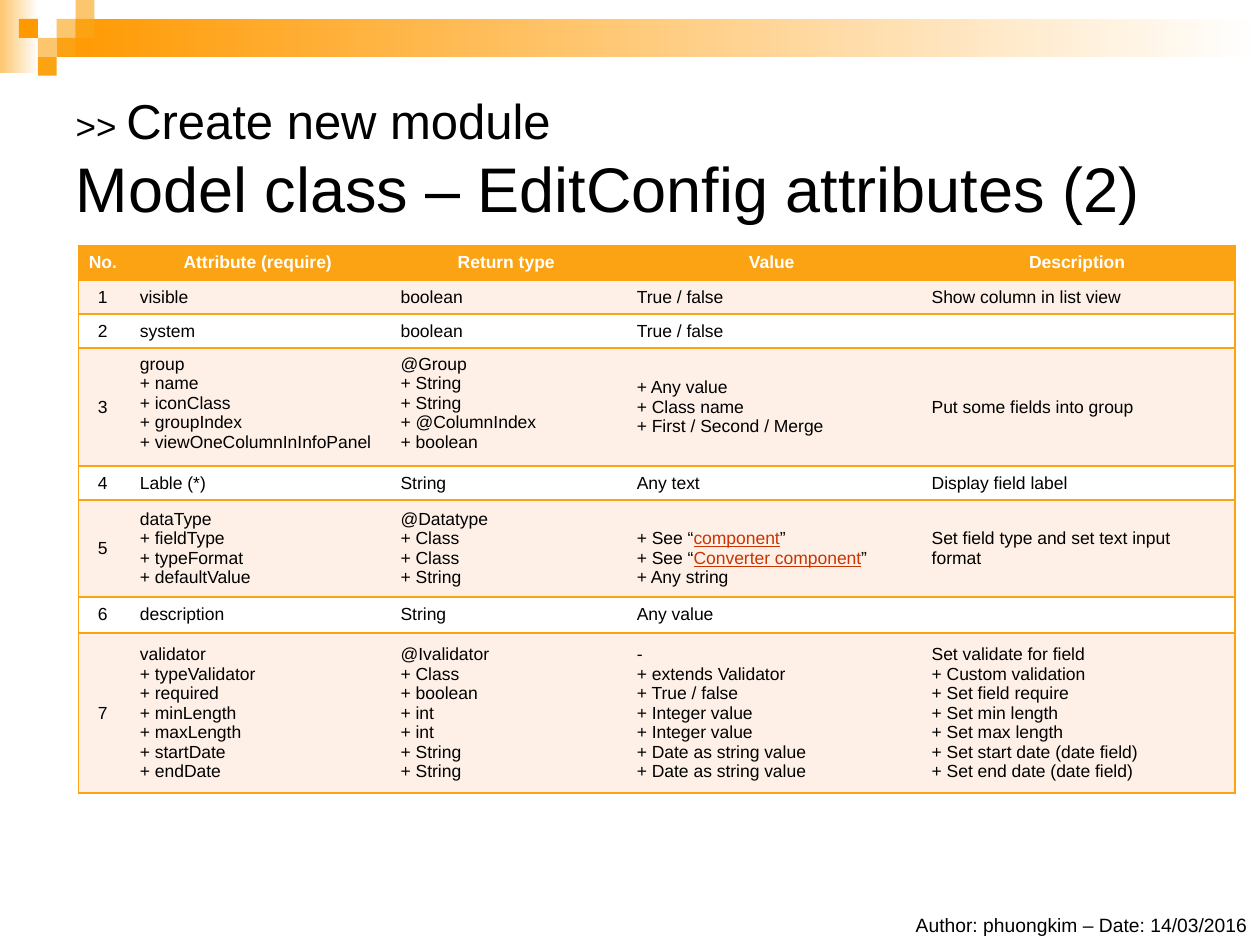
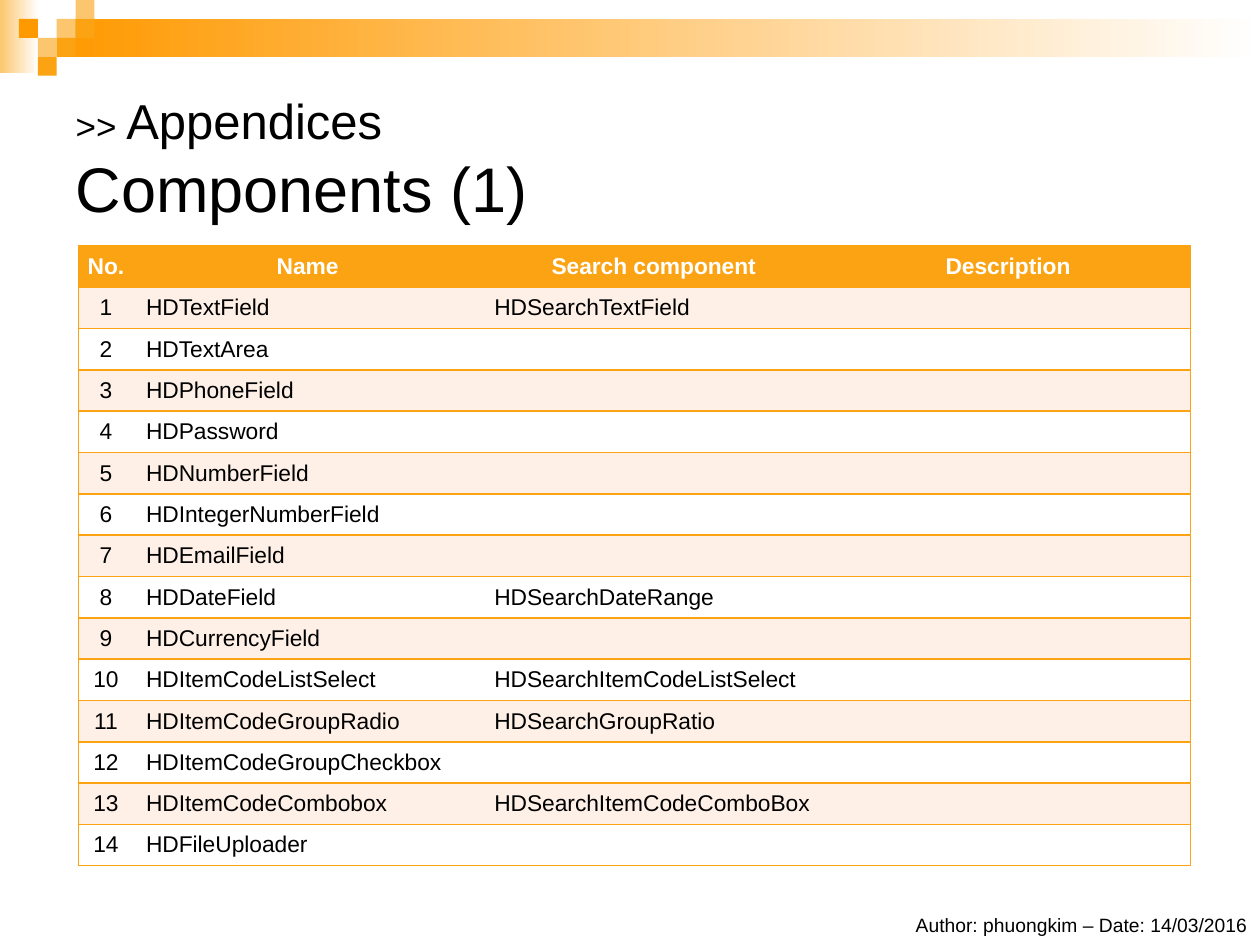
from dataclasses import dataclass

from lxml.etree import SubElement
from pptx import Presentation
from pptx.dml.color import RGBColor
from pptx.enum.shapes import MSO_SHAPE
from pptx.enum.text import MSO_ANCHOR, MSO_AUTO_SIZE, PP_ALIGN
from pptx.oxml.ns import qn
from pptx.util import Pt


@dataclass(frozen=True)
class Theme:
    font: str = "Arial"
    orange: str = "FBA313"
    vivid: str = "FF9900"
    pale: str = "FCC66E"
    stripe: str = "FEF0E7"
    white: str = "FFFFFF"
    ink: str = "000000"
    link: str = "CC3300"
    marker_size: float = 20
    section_size: float = 28
    heading_size: float = 36
    footer_size: float = 11


THEME = Theme()
FOOTER = "Author: phuongkim – Date: 14/03/2016"
TABLE_LEFT, TABLE_TOP = 44.75, 140.5
SQUARE = 10.8
NO_GRID_STYLE = "{2D5ABB26-0587-4C30-8999-92F81FD0307C}"

# Cell text: a newline starts a paragraph, ~ encloses link-styled words
ATTRIBUTES = [
    ["No.", "Attribute (require)", "Return type", "Value", "Description"],
    ["1", "visible", "boolean", "True / false", "Show column in list view"],
    ["2", "system", "boolean", "True / false", ""],
    ["3",
     "group\n+ name\n+ iconClass\n+ groupIndex\n+ viewOneColumnInInfoPanel",
     "@Group\n+ String\n+ String\n+ @ColumnIndex\n+ boolean",
     "+ Any value\n+ Class name\n+ First / Second / Merge",
     "Put some fields into group"],
    ["4", "Lable (*)", "String", "Any text", "Display field label"],
    ["5",
     "dataType\n+ fieldType\n+ typeFormat\n+ defaultValue",
     "@Datatype\n+ Class\n+ Class\n+ String",
     "+ See “~component~”\n+ See “~Converter component~”\n+ Any string",
     "Set field type and set text input format"],
    ["6", "description", "String", "Any value", ""],
    ["7",
     "validator\n+ typeValidator\n+ required\n+ minLength\n+ maxLength\n"
     "+ startDate\n+ endDate",
     "@Ivalidator\n+ Class\n+ boolean\n+ int\n+ int\n+ String\n+ String",
     "-\n+ extends Validator\n+ True / false\n+ Integer value\n"
     "+ Integer value\n+ Date as string value\n+ Date as string value",
     "Set validate for field\n+ Custom validation\n+ Set field require\n"
     "+ Set min length\n+ Set max length\n+ Set start date (date field)\n"
     "+ Set end date (date field)"],
]

COMPONENTS = [
    ("HDTextField", "HDSearchTextField"),
    ("HDTextArea", ""),
    ("HDPhoneField", ""),
    ("HDPassword", ""),
    ("HDNumberField", ""),
    ("HDIntegerNumberField", ""),
    ("HDEmailField", ""),
    ("HDDateField", "HDSearchDateRange"),
    ("HDCurrencyField", ""),
    ("HDItemCodeListSelect", "HDSearchItemCodeListSelect"),
    ("HDItemCodeGroupRadio", "HDSearchGroupRatio"),
    ("HDItemCodeGroupCheckbox", ""),
    ("HDItemCodeCombobox", "HDSearchItemCodeComboBox"),
    ("HDFileUploader", ""),
]


def rgb(color):
    return RGBColor.from_string(color)


def style_font(font, color, size=None, bold=None):
    font.name = THEME.font
    font.color.rgb = rgb(color)
    font.bold = bold
    if size:
        font.size = Pt(size)


# Shared band and squares
def add_block(group, left, top, width, height, color, fade=False):
    sp = group.shapes.add_shape(MSO_SHAPE.RECTANGLE, Pt(left), Pt(top),
                                Pt(width), Pt(height))
    sp.shadow.inherit = False
    sp.line.fill.background()
    if fade:
        sp.fill.gradient()
        sp.fill.gradient_angle = 0
        for stop, stop_color in zip(sp.fill.gradient_stops, (color, THEME.white)):
            stop.color.rgb = rgb(stop_color)
    else:
        sp.fill.solid()
        sp.fill.fore_color.rgb = rgb(color)


def add_band_to_layout(slide):
    """Build the band on a slide, then move it behind the layout's content."""
    group = slide.shapes.add_group_shape()
    add_block(group, 0, 0, 22, 41.75, THEME.pale, fade=True)
    add_block(group, 3 * SQUARE, SQUARE, 720 - 3 * SQUARE, 2 * SQUARE,
              THEME.vivid, fade=True)
    squares = [(3, 1, THEME.pale), (4, 0, THEME.pale), (4, 1, THEME.orange),
               (2, 2, THEME.pale), (1, 1, THEME.vivid), (3, 2, THEME.orange),
               (2, 3, THEME.orange)]
    for col, row, color in squares:
        add_block(group, col * SQUARE, row * SQUARE, SQUARE, SQUARE, color)
    for number, node in enumerate(group.element.iter(qn("p:cNvPr")), 100):
        node.set("id", str(number))
    slide.slide_layout.shapes.element.insert(2, group.element)


# Title and footer
def set_title(slide, section, heading):
    sp = slide.shapes.title
    sp.left, sp.top, sp.width, sp.height = Pt(36), Pt(36), Pt(648), Pt(108)
    tf = sp.text_frame
    tf.auto_size = MSO_AUTO_SIZE.NONE
    tf.vertical_anchor = MSO_ANCHOR.MIDDLE
    p = tf.paragraphs[0]
    p.alignment = PP_ALIGN.LEFT
    style_font(p.font, THEME.ink)
    for text, size in ((">> ", THEME.marker_size), (section, THEME.section_size),
                       (heading, THEME.heading_size)):
        if text == heading:
            p.add_line_break()
        r = p.add_run()
        r.text = text
        r.font.size = Pt(size)


def add_footer(slide):
    sp = slide.shapes.add_textbox(Pt(365.75), Pt(518.5), Pt(354.25), Pt(21))
    tf = sp.text_frame
    tf.word_wrap = True
    p = tf.paragraphs[0]
    p.text = FOOTER
    p.alignment = PP_ALIGN.RIGHT
    style_font(p.font, THEME.ink, THEME.footer_size)


# Table
def add_borders(cell, sides):
    tc_pr = cell._tc.get_or_add_tcPr()
    for index, side in enumerate(("L", "R", "T", "B")):
        if side in sides:
            ln = SubElement(tc_pr, qn(f"a:ln{side}"), w=str(Pt(1)))
            fill = SubElement(ln, qn("a:solidFill"))
            SubElement(fill, qn("a:srgbClr"), val=THEME.orange)
            tc_pr.remove(ln)
            tc_pr.insert(min(index, len(tc_pr)), ln)


def fill_cell_text(cell, text, size, color, bold, alignment):
    tf = cell.text_frame
    for index, line in enumerate(text.split("\n")):
        p = tf.add_paragraph() if index else tf.paragraphs[0]
        p.alignment = alignment
        style_font(p.font, color, size, bold)
        if not line:
            SubElement(p._p, qn("a:endParaRPr"), sz=str(size * 100))
            continue
        for part, piece in enumerate(line.split("~")):
            if piece:
                r = p.add_run()
                r.text = piece
                if part % 2:
                    r.font.color.rgb = rgb(THEME.link)
                    r.font.underline = True


def add_striped_table(slide, rows, widths, heights, size,
                      top_cells=(), lowered_cells=()):
    frame = slide.shapes.add_table(len(rows), len(widths), Pt(TABLE_LEFT),
                                   Pt(TABLE_TOP), Pt(sum(widths)), Pt(sum(heights)))
    table = frame.table
    table.horz_banding = False
    table._tbl.tblPr.find(qn("a:tableStyleId")).text = NO_GRID_STYLE
    for column, width in zip(table.columns, widths):
        column.width = Pt(width)
    last = len(widths) - 1
    for i, (row, height) in enumerate(zip(rows, heights)):
        table.rows[i].height = Pt(height)
        header = i == 0
        fill = THEME.orange if header else THEME.stripe if i % 2 else THEME.white
        for j, text in enumerate(row):
            cell = table.cell(i, j)
            cell.fill.solid()
            cell.fill.fore_color.rgb = rgb(fill)
            cell.vertical_anchor = (MSO_ANCHOR.TOP if (i, j) in top_cells
                                    else MSO_ANCHOR.MIDDLE)
            if j == 0:
                cell.margin_left = cell.margin_right = Pt(3)
            if (i, j) in lowered_cells:
                cell.margin_top = Pt(15)
            add_borders(cell, "TB" + "L" * (j == 0) + "R" * (j == last))
            centred = header or j == 0
            fill_cell_text(cell, text, size, THEME.white if header else THEME.ink,
                           header, PP_ALIGN.CENTER if centred else PP_ALIGN.LEFT)


def add_titled_slide(prs, section, heading):
    slide = prs.slides.add_slide(prs.slide_layouts[5])
    set_title(slide, section, heading)
    add_footer(slide)
    return slide


def main():
    prs = Presentation()
    prs.slide_width, prs.slide_height = Pt(720), Pt(540)

    # Attributes
    slide = add_titled_slide(prs, "Create new module",
                             "Model class – EditConfig attributes (2)")
    add_band_to_layout(slide)
    add_striped_table(slide, ATTRIBUTES, [28, 149, 135, 168.5, 180.5],
                      [19.5, 19.5, 19.5, 67, 19.5, 55, 20.75, 91.5], 10,
                      top_cells={(3, 1), (3, 2)}, lowered_cells={(5, 3)})

    # Components
    slide = add_titled_slide(prs, "Appendices", "Components (1)")
    rows = [["No.", "Name", "Search component", "Description"]]
    rows += [[str(number), name, search, ""]
             for number, (name, search) in enumerate(COMPONENTS, 1)]
    add_striped_table(slide, rows, [31.5, 199, 196.5, 208.5],
                      [23.62] * len(rows), 13)

    prs.save("out.pptx")


if __name__ == "__main__":
    main()
